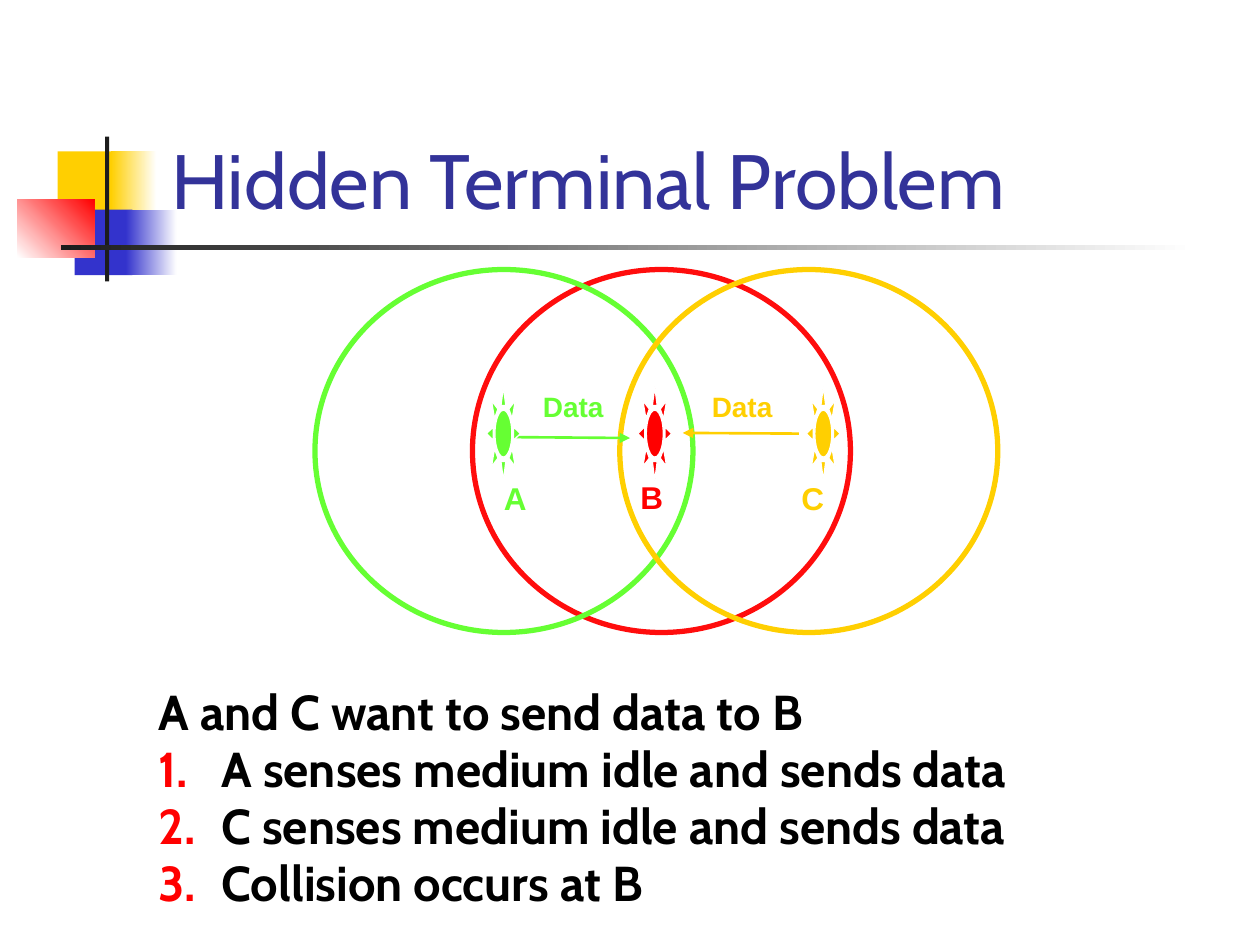
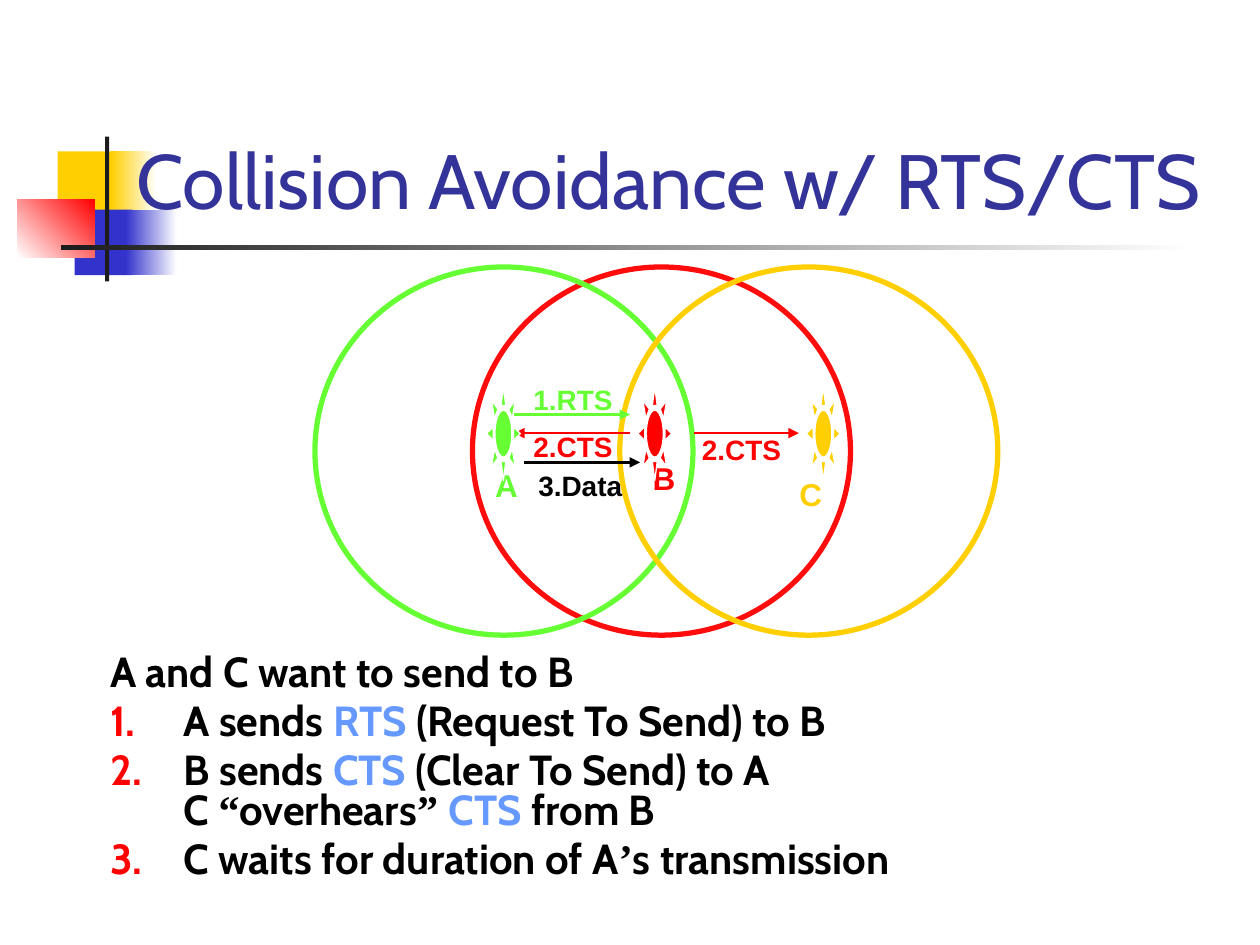
from lxml import etree
from pptx import Presentation
from pptx.dml.color import RGBColor
from pptx.enum.shapes import MSO_CONNECTOR, MSO_SHAPE
from pptx.enum.text import MSO_ANCHOR as Anchor, PP_ALIGN as Align
from pptx.oxml.ns import qn
from pptx.util import Pt

YELLOW = RGBColor(0xFF, 0xCF, 0x01)
BLUE = RGBColor(0x33, 0x33, 0xCC)
RED = RGBColor(0xFF, 0x00, 0x00)
RING_RED = RGBColor(0xFF, 0x0D, 0x0D)
GREEN = RGBColor(0x66, 0xFF, 0x33)
TITLE_BLUE = RGBColor(0x33, 0x33, 0x99)
TERM_BLUE = RGBColor(0x66, 0x99, 0xFF)
DARK = RGBColor(0x1C, 0x1C, 0x1C)
BLACK = RGBColor(0x00, 0x00, 0x00)
WHITE = RGBColor(0xFF, 0xFF, 0xFF)

HEADING_FONT = "Cabin"
LABEL_FONT = "Arial"
QUOTE_FONT = "Times New Roman"
STATION_COLORS = {"A": GREEN, "B": RED, "C": YELLOW}


def add_run(paragraph, text, *, size, font=HEADING_FONT, color=BLACK, bold=False):
    run = paragraph.add_run()
    run.text = text
    run.font.size = Pt(size)
    run.font.name = font
    run.font.bold = bold
    run.font.color.rgb = color


def add_text_frame(slide, left, top, width, height, anchor, wrap=True):
    frame = slide.shapes.add_textbox(Pt(left), Pt(top), Pt(width), Pt(height)).text_frame
    frame.word_wrap = wrap
    frame.vertical_anchor = anchor
    return frame


def add_preset(slide, kind, left, top, width, height, fill=None, line=None, line_width=0.75):
    """Add a preset shape; a pair of colours as fill makes a gradient."""
    shape = slide.shapes.add_shape(kind, Pt(left), Pt(top), Pt(width), Pt(height))
    shape.shadow.inherit = False
    if fill is None:
        shape.fill.background()
    elif isinstance(fill, RGBColor):
        shape.fill.solid()
        shape.fill.fore_color.rgb = fill
    else:
        shape.fill.gradient()
        shape.fill.gradient_angle = 0
        for stop, color in zip(shape.fill.gradient_stops, fill):
            stop.color.rgb = color
    if line is None:
        shape.line.fill.background()
    else:
        shape.line.color.rgb = line
        shape.line.width = Pt(line_width)
    return shape


def add_title_decoration(slide):
    blocks = [
        (33, 86.5, 34.5, 37.5, YELLOW),
        (63.4, 86.5, 26, 37.5, (YELLOW, WHITE)),
        (42.7, 119.8, 33, 37.4, BLUE),
        (72, 119.8, 29, 37.4, (BLUE, WHITE)),
        (10, 113.8, 44, 33.4, (WHITE, RED)),
        (60, 78, 2.4, 82.8, DARK),
        (34.8, 140.2, 648, 2.4, (DARK, WHITE)),
    ]
    for left, top, width, height, fill in blocks:
        block = add_preset(slide, MSO_SHAPE.RECTANGLE, left, top, width, height, fill)
        if fill == (WHITE, RED):
            block.fill.gradient_angle = 45


def add_title(slide, text, left, width):
    frame = add_text_frame(slide, left, 16.6, width, 115.2, Anchor.BOTTOM)
    add_run(frame.paragraphs[0], text, size=44, color=TITLE_BLUE)


def add_ranges(slide, top, height):
    """Draw the radio range of each station as a ring."""
    for left, color in ((270, RING_RED), (180, GREEN), (354.2, YELLOW)):
        add_preset(slide, MSO_SHAPE.OVAL, left, top, 216, height, line=color, line_width=3)


def add_suns(slide):
    for station, left in (("A", 278), ("B", 364.5), ("C", 460.8)):
        add_preset(slide, MSO_SHAPE.SUN, left, 221, 19.4, 53.6,
                   fill=STATION_COLORS[station], line=WHITE)


def add_label(slide, text, center_x, center_y, color, size=16):
    width, height = 80, 28
    frame = add_text_frame(slide, center_x - width / 2, center_y - height / 2,
                           width, height, Anchor.MIDDLE, wrap=False)
    frame.paragraphs[0].alignment = Align.CENTER
    add_run(frame.paragraphs[0], text, size=size, font=LABEL_FONT, color=color, bold=True)


def add_arrow(slide, start, end, color):
    arrow = slide.shapes.add_connector(MSO_CONNECTOR.STRAIGHT, *map(Pt, start + end))
    arrow.line.color.rgb = color
    arrow.line.width = Pt(1.5)
    properties = arrow._element.spPr
    etree.SubElement(properties.get_or_add_ln(), qn("a:tailEnd"), type="triangle")
    etree.SubElement(properties, qn("a:effectLst"))


def set_indent(paragraph, left, hanging, numbered):
    properties = paragraph._p.get_or_add_pPr()
    properties.set("marL", str(Pt(left)))
    properties.set("indent", str(-Pt(hanging)))
    if numbered:
        bullet_color = etree.SubElement(properties, qn("a:buClr"))
        etree.SubElement(bullet_color, qn("a:srgbClr"), val=str(RED))
        etree.SubElement(properties, qn("a:buAutoNum"), type="arabicPeriod")
    else:
        etree.SubElement(properties, qn("a:buNone"))


def add_steps(slide, box, lines, *, size, pitch, gap, left, hanging):
    """Write an unnumbered lead line, then numbered steps made of (text, format) parts."""
    frame = add_text_frame(slide, *box, Anchor.TOP)
    for index, parts in enumerate(lines):
        paragraph = frame.add_paragraph() if index else frame.paragraphs[0]
        paragraph.line_spacing = Pt(pitch)
        paragraph.space_before = Pt(gap if index else 0)
        set_indent(paragraph, left, hanging, numbered=index > 0)
        for text, text_format in parts:
            if text == "\n":
                paragraph.add_line_break()
            else:
                add_run(paragraph, text, size=size, bold=True, **text_format)


def add_scene(slide, title, title_box, ranges, stations, messages):
    """Build everything above the steps: title, ranges, stations and messages."""
    add_title_decoration(slide)
    add_title(slide, title, *title_box)
    add_ranges(slide, *ranges)
    for station, center in stations.items():
        add_label(slide, station, *center, STATION_COLORS[station], size=18)
    for text, center, start, end, color in messages:
        add_arrow(slide, start, end, color)
        add_label(slide, text, *center, color)
    add_suns(slide)


def build_hidden_terminal(slide):
    add_scene(
        slide, "Hidden Terminal Problem", (90.7, 613.4), (154, 207.4),
        {"A": (294.5, 284.4), "B": (372.5, 283.7), "C": (464.4, 284.4)},
        [
            ("Data", (327.6, 232.2), (293.8, 249.8), (360, 250.3), GREEN),
            ("Data", (424.1, 232.2), (456.5, 247.8), (390.2, 247.4), YELLOW),
        ])
    lines = [
        "A and C want to send data to B",
        "A senses medium idle and sends data",
        "C senses medium idle and sends data",
        "Collision occurs at B",
    ]
    add_steps(slide, (47.5, 392.3, 672.5, 147), [[(line, {})] for line in lines],
              size=28, pitch=27, gap=5.6, left=72, hanging=36)


def build_collision_avoidance(slide):
    add_scene(
        slide, "Collision Avoidance w/ RTS/CTS", (70.9, 649.1), (152.6, 210.4),
        {"A": (289.4, 277.2), "B": (379.4, 272.9), "C": (463.3, 282.5)},
        [
            ("1.RTS", (327.5, 228.3), (293.8, 236.9), (360, 236.9), GREEN),
            ("2.CTS", (423.7, 256.7), (396.7, 247.5), (456.5, 247.5), RED),
            ("2.CTS", (327.5, 255.2), (360, 247.5), (293.8, 247.5), RED),
            ("3.Data", (331.6, 277.6), (299.5, 264.2), (365.8, 264.2), BLACK),
        ])
    term = {"color": TERM_BLUE}
    quote = {"font": QUOTE_FONT}
    lines = [
        [("A and C want to send to B", {})],
        [("A sends ", {}), ("RTS", term), (" (Request To Send) to B", {})],
        [("B sends ", {}), ("CTS", term), (" (Clear To Send) to A", {}), ("\n", {}),
         ("C ", {}), ("“", quote), ("overhears", {}), ("” ", quote),
         ("CTS", term), (" from B", {})],
        [("C waits for duration of A", {}), ("’", quote), ("s transmission", {})],
    ]
    add_steps(slide, (19.8, 370.9, 700, 148), lines,
              size=24, pitch=23.2, gap=4.8, left=78, hanging=42)


def main():
    presentation = Presentation()
    presentation.slide_width = Pt(720)
    presentation.slide_height = Pt(540)
    blank = presentation.slide_layouts[6]
    for build in (build_hidden_terminal, build_collision_avoidance):
        build(presentation.slides.add_slide(blank))
    presentation.save("out.pptx")


if __name__ == "__main__":
    main()
